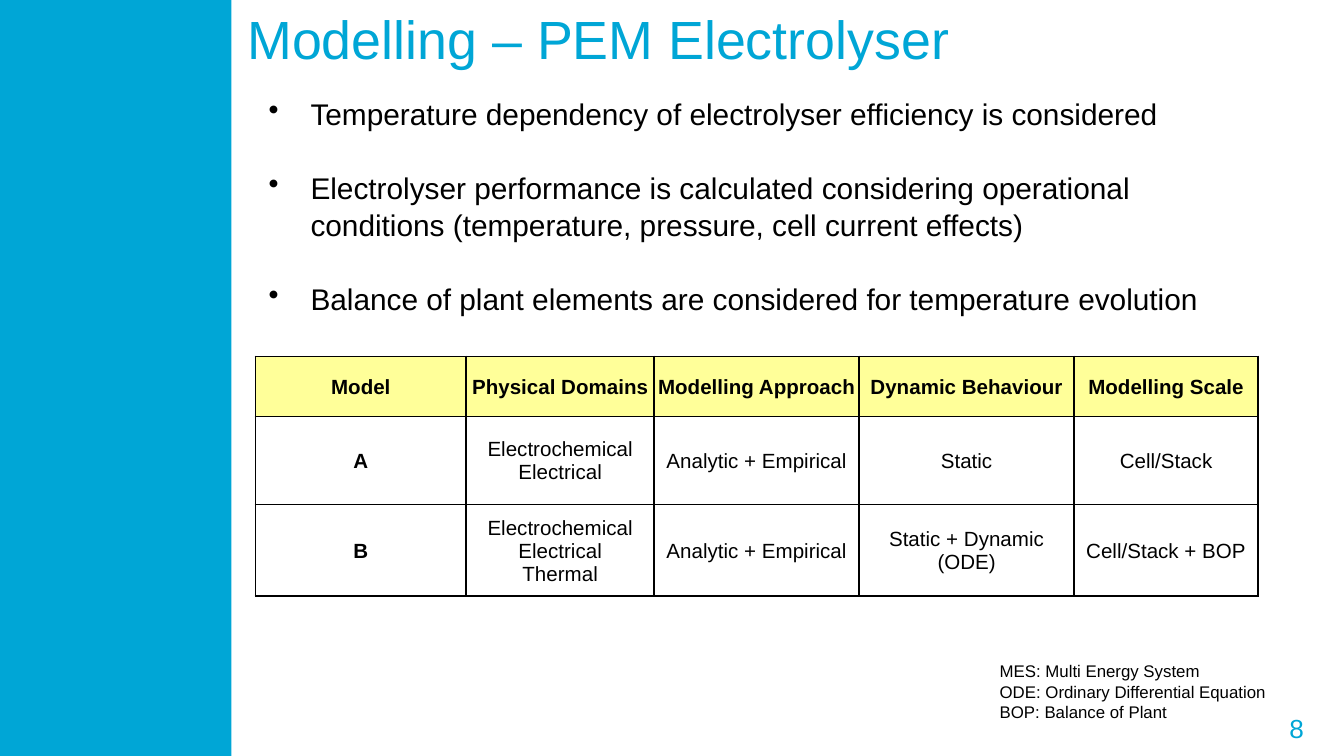
from dataclasses import dataclass
from typing import Any

from pptx import Presentation
from pptx.dml.color import RGBColor
from pptx.enum.shapes import MSO_SHAPE
from pptx.enum.text import MSO_ANCHOR, PP_ALIGN
from pptx.oxml import parse_xml
from pptx.oxml.ns import nsdecls
from pptx.oxml.xmlchemy import OxmlElement
from pptx.util import Pt


@dataclass(frozen=True)
class Theme:
    font: str = "Arial"
    accent: str = "00A6D6"
    ink: str = "000000"
    paper: str = "FFFFFF"
    header: str = "FFFF99"
    title_size: float = 28.8
    bullet_size: float = 16
    number_size: float = 14
    table_size: float = 11
    note_size: float = 9


@dataclass(frozen=True)
class Area:
    left: float
    top: float
    width: float
    height: float

    def lengths(self) -> tuple[Pt, ...]:
        return Pt(self.left), Pt(self.top), Pt(self.width), Pt(self.height)


@dataclass(frozen=True)
class TextBlock:
    area: Area
    lines: tuple[str, ...]
    size: float
    color: str
    anchor: MSO_ANCHOR = MSO_ANCHOR.TOP
    align: PP_ALIGN = PP_ALIGN.LEFT
    bulleted: bool = False


THEME = Theme()
BULLET_INDENT = 22.5
BULLET_GAP = 19.3
CELL_INSET = 0.72

TITLE = TextBlock(Area(125.3, 0, 559.4, 41), ("Modelling – PEM Electrolyser",),
                  THEME.title_size, THEME.accent, MSO_ANCHOR.MIDDLE)
BLOCKS = (
    TextBlock(Area(523.4, 379.4, 182.2, 21.6), ("8",), THEME.number_size,
              THEME.accent, MSO_ANCHOR.MIDDLE, PP_ALIGN.RIGHT),
    TextBlock(Area(528.5, 350.6, 161.3, 40.3), (
        "MES: Multi Energy System",
        "ODE: Ordinary Differential Equation",
        "BOP: Balance of Plant",
    ), THEME.note_size, THEME.ink),
    TextBlock(Area(136.8, 46.8, 540, 123.8), (
        "Temperature dependency of electrolyser efficiency is considered",
        "Electrolyser performance is calculated considering operational "
        "conditions (temperature, pressure, cell current effects)",
        "Balance of plant elements are considered for temperature evolution",
    ), THEME.bullet_size, THEME.ink, bulleted=True),
)
SIDEBAR = Area(0, 0, 124, 405)
TABLE_AREA = Area(136.8, 191, 537.2, 128.5)
COLUMN_WIDTHS = (113, 100.7, 109.8, 115.2, 98.5)
ROW_HEIGHTS = (32.2, 47.1, 49.2)
ROWS = (
    ("Model", "Physical Domains", "Modelling Approach", "Dynamic Behaviour", "Modelling Scale"),
    ("A", "Electrochemical\nElectrical", "Analytic + Empirical", "Static", "Cell/Stack"),
    ("B", "Electrochemical\nElectrical\nThermal", "Analytic + Empirical",
     "Static + Dynamic (ODE)", "Cell/Stack + BOP"),
)


def apply(target: Any, values: dict[str, Any]) -> None:
    for name, value in values.items():
        setattr(target, name, value)


def write_para(para: Any, text: str, size: float, color: str,
               align: PP_ALIGN, bold: bool = False) -> None:
    para.text = text
    para.alignment = align
    for span in para.runs:
        apply(span.font, {"name": THEME.font, "size": Pt(size), "bold": bold})
        span.font.color.rgb = RGBColor.from_string(color)


def add_bullet(para: Any) -> None:
    apply(para, {"line_spacing": 1.05, "space_after": Pt(BULLET_GAP)})
    properties = para._p.get_or_add_pPr()
    properties.set("marL", str(Pt(BULLET_INDENT)))
    properties.set("indent", str(-Pt(BULLET_INDENT)))
    bullet = OxmlElement("a:buChar")
    bullet.set("char", "•")
    properties.append(bullet)


def fill_text(box: Any, block: TextBlock) -> None:
    frame = box.text_frame
    apply(frame, {"word_wrap": True, "vertical_anchor": block.anchor})
    for index, line in enumerate(block.lines):
        para = frame.add_paragraph() if index else frame.paragraphs[0]
        write_para(para, line, block.size, block.color, block.align)
        if block.bulleted:
            add_bullet(para)


def draw_title(page: Any, block: TextBlock) -> None:
    title = page.shapes.title
    apply(title, dict(zip(("left", "top", "width", "height"), block.area.lengths())))
    fill_text(title, block)


def draw_sidebar(page: Any, area: Area) -> None:
    sidebar = page.shapes.add_shape(MSO_SHAPE.RECTANGLE, *area.lengths())
    sidebar.shadow.inherit = False
    sidebar.fill.solid()
    sidebar.fill.fore_color.rgb = RGBColor.from_string(THEME.accent)
    sidebar.line.fill.background()


def draw_borders(cell: Any) -> None:
    properties = cell._tc.get_or_add_tcPr()
    for position, side in enumerate(("lnL", "lnR", "lnT", "lnB")):
        properties.insert(position, parse_xml(
            f'<a:{side} {nsdecls("a")} w="{Pt(1)}"><a:solidFill>'
            f'<a:srgbClr val="{THEME.ink}"/></a:solidFill></a:{side}>'))


def draw_table(page: Any) -> None:
    table = page.shapes.add_table(len(ROWS), len(COLUMN_WIDTHS), *TABLE_AREA.lengths()).table
    apply(table, {"first_row": False, "horz_banding": False})
    for column, width in zip(table.columns, COLUMN_WIDTHS):
        column.width = Pt(width)
    for row, height in zip(table.rows, ROW_HEIGHTS):
        row.height = Pt(height)
    for row_index, texts in enumerate(ROWS):
        for column_index, text in enumerate(texts):
            cell = table.cell(row_index, column_index)
            apply(cell, {"vertical_anchor": MSO_ANCHOR.MIDDLE, "margin_left": Pt(CELL_INSET),
                         "margin_right": Pt(CELL_INSET), "margin_top": Pt(CELL_INSET),
                         "margin_bottom": Pt(0)})
            cell.fill.solid()
            color = THEME.paper if row_index else THEME.header
            cell.fill.fore_color.rgb = RGBColor.from_string(color)
            write_para(cell.text_frame.paragraphs[0], text, THEME.table_size, THEME.ink,
                       PP_ALIGN.CENTER, bold=row_index == 0 or column_index == 0)
            draw_borders(cell)


def main() -> None:
    deck = Presentation()
    apply(deck, {"slide_width": Pt(720), "slide_height": Pt(405)})
    page = deck.slides.add_slide(deck.slide_layouts[5])
    draw_sidebar(page, SIDEBAR)
    draw_title(page, TITLE)
    draw_table(page)
    for block in BLOCKS:
        fill_text(page.shapes.add_textbox(*block.area.lengths()), block)
    deck.save("out.pptx")


if __name__ == "__main__":
    main()
